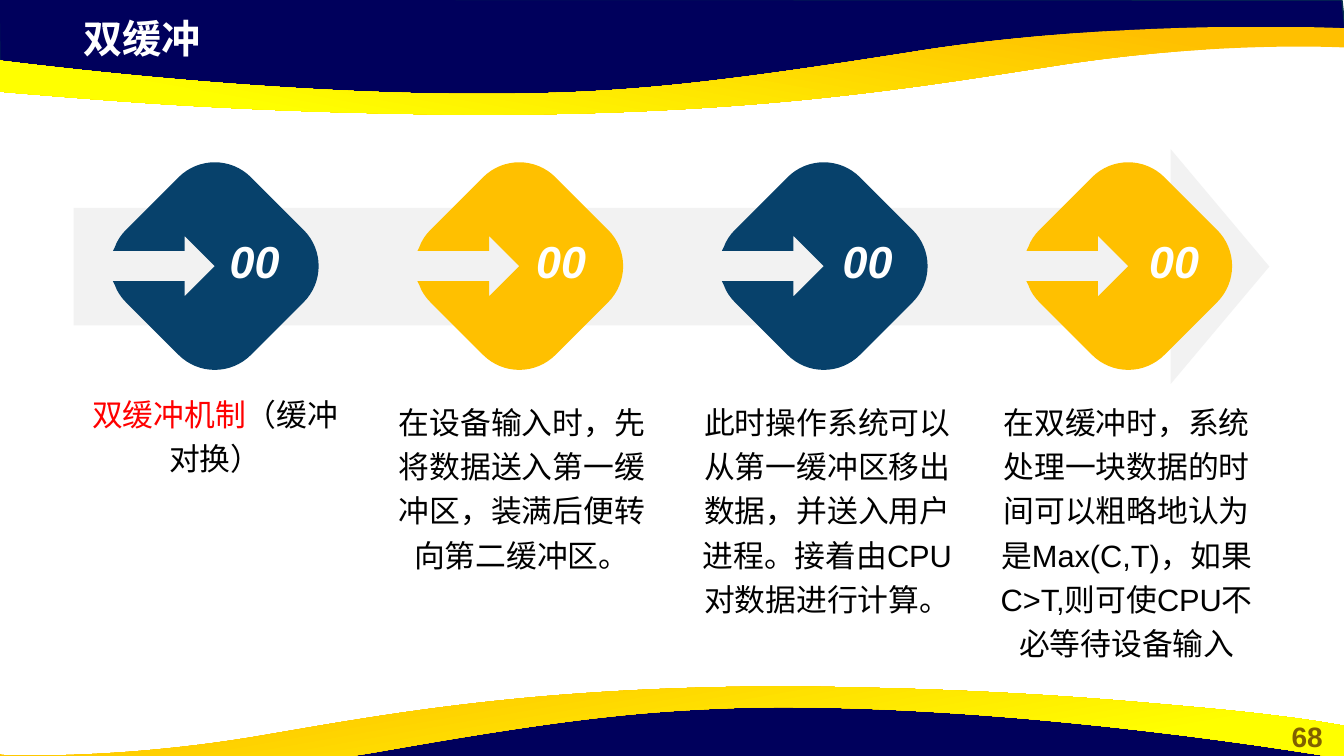
from lxml.etree import Element
from pptx import Presentation
from pptx.dml.color import RGBColor
from pptx.enum.shapes import MSO_SHAPE as Shape
from pptx.enum.text import MSO_ANCHOR as Anchor, PP_ALIGN as Align
from pptx.oxml.ns import qn
from pptx.util import Pt

EMU_PER_PX = 9144  # 100 px to the inch

NAVY, NAVY_EDGE = "00005C", "05304F"
BLUE, GOLD, YELLOW = "07416B", "FFC000", "FFFF00"
GREY, WHITE, BLACK, RED, OLIVE = "F2F2F2", "FFFFFF", "000000", "FF0000", "806000"

# Outlines: a pair is a line end, six numbers are a Bezier segment.
TOP_NAVY = [(-1, -1), (0, 70), (293, 102), (559, 100), (795, 88), (1016, 50),
            (1238, 33), (1335, 38), (1331, 0)]
TOP_RIBBON = [(483, 114), (443, 114, 401, 113, 356, 112), (206, 108, 110, 100, 36, 94),
              (-88, 84, -130, 75, -133, 75), (-133, 42),
              (-133, 42, 218, 98, 517, 93), (626, 91, 708, 83, 915, 50),
              (1121, 18, 1333, 28, 1333, 28), (1333, 47), (1330, 47),
              (1305, 46, 1195, 43, 1055, 64), (918, 85, 762, 113, 483, 114)]
BOTTOM_NAVY = [(1333, 794), (1332, 724), (1040, 691), (773, 693), (538, 706),
               (317, 743), (95, 760), (-3, 756), (1, 793)]
BOTTOM_RIBBON = [(772, 681), (809, 681, 847, 682, 888, 683), (1025, 687, 1112, 695, 1179, 701),
                 (1292, 711, 1330, 720, 1333, 720), (1333, 753),
                 (1333, 753, 1014, 697, 742, 702), (642, 705, 567, 712, 380, 745),
                 (192, 778, -1, 768, -1, 768), (-1, 748), (2, 749),
                 (25, 750, 125, 752, 252, 731), (376, 710, 519, 682, 772, 681)]
# Rounded diamond with an arrow notch, measured from its centre.
DIAMOND = [(0, -103), (13, -103, 26, -98, 36, -88), (88, -36), (108, -16, 108, 16, 88, 36),
           (36, 88), (16, 108, -16, 108, -36, 88), (-88, 36), (-93, 31, -97, 25, -99, 19),
           (-101, 15), (-30, 15), (-30, 30), (0, 0), (-30, -30), (-30, -15), (-101, -15),
           (-99, -19), (-97, -25, -93, -31, -88, -36), (-36, -88),
           (-26, -98, -13, -103, 0, -103)]

TITLE = {"size": Pt(28), "bold": True}
PAGE = {"size": Pt(20), "bold": True}
NUMBER = {"size": Pt(32), "bold": True, "italic": True}
CAPTION = {"size": Pt(22)}

STEPS = [  # diamond colour, caption left, caption top, caption runs
    (BLUE, 75, 380, [("双缓冲机制", RED), ("（缓冲对换）", BLACK)]),
    (GOLD, 379, 388, [("在设备输入时，先将数据送入第一缓冲区，装满后便转向第二缓冲区。", BLACK)]),
    (BLUE, 682, 388, [("此时操作系统可以从第一缓冲区移出数据，并送入用户进程。"
                       "接着由CPU对数据进行计算。", BLACK)]),
    (GOLD, 979, 388, [("在双缓冲时，系统处理一块数据的时间可以粗略地认为是Max(C,T)，"
                       "如果C>T,则可使CPU不必等待设备输入", BLACK)]),
]


def px(value):
    return value * EMU_PER_PX


def rgb(hex_string):
    return RGBColor.from_string(hex_string)


def bend(shape, outline, centre):
    """Turn the straight segments of a freeform into its Bezier curves."""
    lines = shape.element.findall(".//" + qn("a:lnTo"))
    for line, segment in zip(lines, outline[1:]):
        if len(segment) == 2:
            continue
        line.tag = qn("a:cubicBezTo")
        for index in (0, 1):
            x, y = segment[2 * index:2 * index + 2]
            control = Element(qn("a:pt"), x=str(px(x + centre[0]) - shape.left),
                              y=str(px(y + centre[1]) - shape.top))
            line.insert(index, control)


class SlideBuilder:
    font_name = "Arial"

    def __init__(self, slide):
        self.slide = slide

    def paint(self, shape, fill, edge=None):
        shape.shadow.inherit = False
        shape.fill.solid()
        shape.fill.fore_color.rgb = rgb(fill)
        if edge:
            shape.line.color.rgb = rgb(edge)
            shape.line.width = Pt(1)
        else:
            shape.line.fill.background()

    def outline(self, outline, fill, edge=None, centre=(0, 0)):
        ends = [(px(segment[-2] + centre[0]), px(segment[-1] + centre[1]))
                for segment in outline]
        builder = self.slide.shapes.build_freeform(*ends[0], scale=1.0)
        builder.add_line_segments(ends[1:], close=True)
        shape = builder.convert_to_shape()
        bend(shape, outline, centre)
        self.paint(shape, fill, edge)
        return shape

    def ribbon(self, outline, angle):
        shape = self.outline(outline, GOLD)
        shape.fill.gradient()
        shape.fill.gradient_angle = angle
        stops = ((0.11, GOLD), (0.78, YELLOW))
        for stop, (position, color) in zip(shape.fill.gradient_stops, stops):
            stop.position = position
            stop.color.rgb = rgb(color)

    def arrow(self, left, top, width, height, fill):
        shape = self.slide.shapes.add_shape(
            Shape.RIGHT_ARROW, px(left), px(top), px(width), px(height))
        shape.adjustments[0], shape.adjustments[1] = 0.5, 0.42
        self.paint(shape, fill)

    def text(self, box, runs, style, align=Align.CENTER, anchor=Anchor.TOP, spacing=1.0):
        frame = self.slide.shapes.add_textbox(*map(px, box)).text_frame
        frame.word_wrap = True
        frame.vertical_anchor = anchor
        paragraph = frame.paragraphs[0]
        paragraph.alignment = align
        paragraph.line_spacing = spacing
        for words, color in runs:
            run = paragraph.add_run()
            run.text = words
            run.font.name = self.font_name
            run.font.color.rgb = rgb(color)
            for name, value in style.items():
                setattr(run.font, name, value)


def main():
    presentation = Presentation()
    presentation.slide_width, presentation.slide_height = px(1333), px(750)
    page = SlideBuilder(presentation.slides.add_slide(presentation.slide_layouts[6]))

    page.outline(TOP_NAVY, NAVY, NAVY_EDGE)
    page.ribbon(TOP_RIBBON, 260)
    page.outline(BOTTOM_NAVY, NAVY, NAVY_EDGE)
    page.ribbon(BOTTOM_RIBBON, 280)
    page.text((1260, 709, 73, 44), [("68", OLIVE)], PAGE)
    page.text((73, 9, 768, 57), [("双缓冲", WHITE)], TITLE, align=Align.LEFT)

    page.arrow(73, 148, 1186, 233, GREY)
    for index, (color, left, top, caption) in enumerate(STEPS):
        page.outline(DIAMOND, color, centre=(213 + 302 * index, 264))
        page.text((214 + 304 * index, 222, 77, 74), [("00", WHITE)], NUMBER,
                  anchor=Anchor.MIDDLE)
        page.text((left, top, 277, 160), caption, CAPTION, spacing=1.2)

    presentation.save("out.pptx")


if __name__ == "__main__":
    main()
